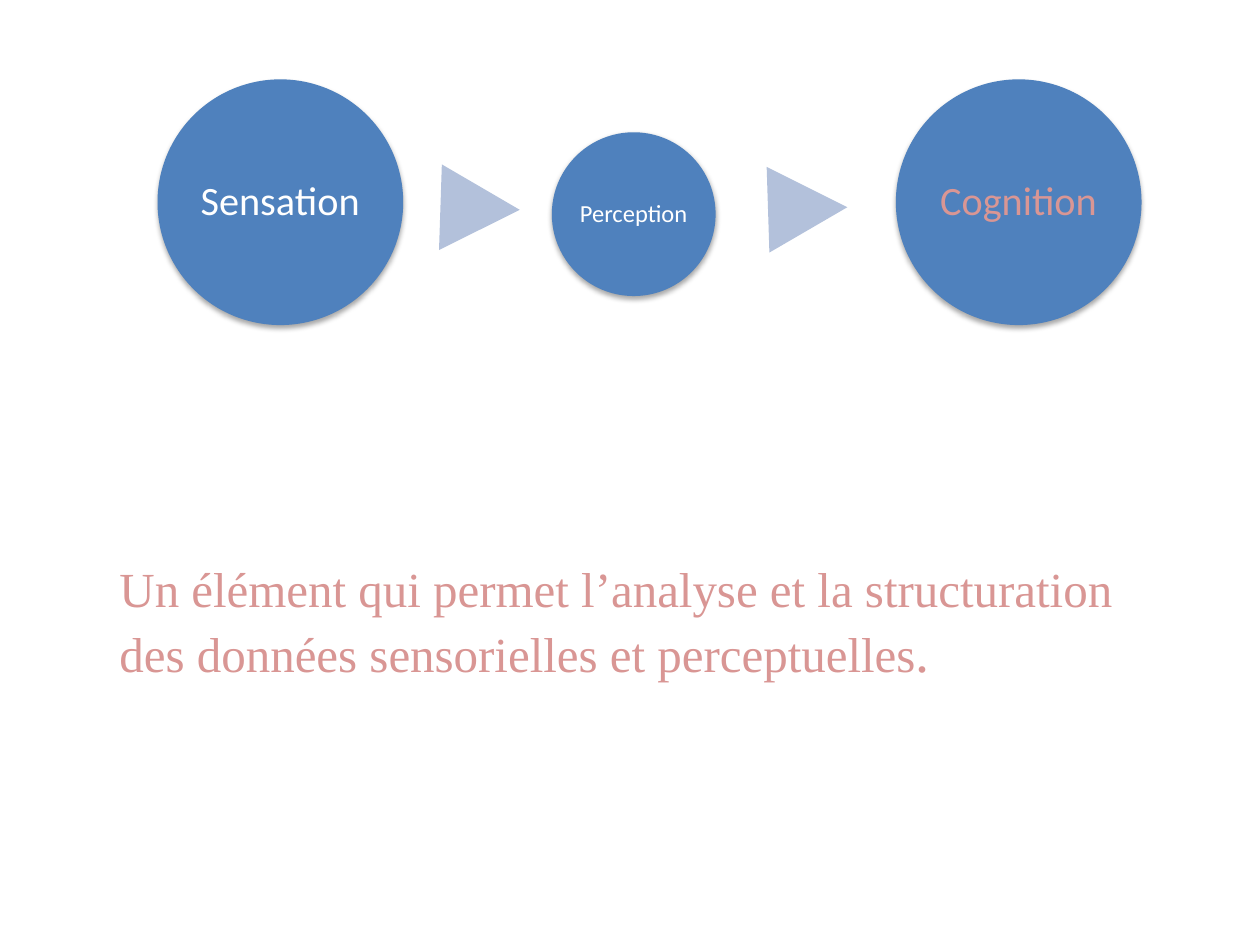
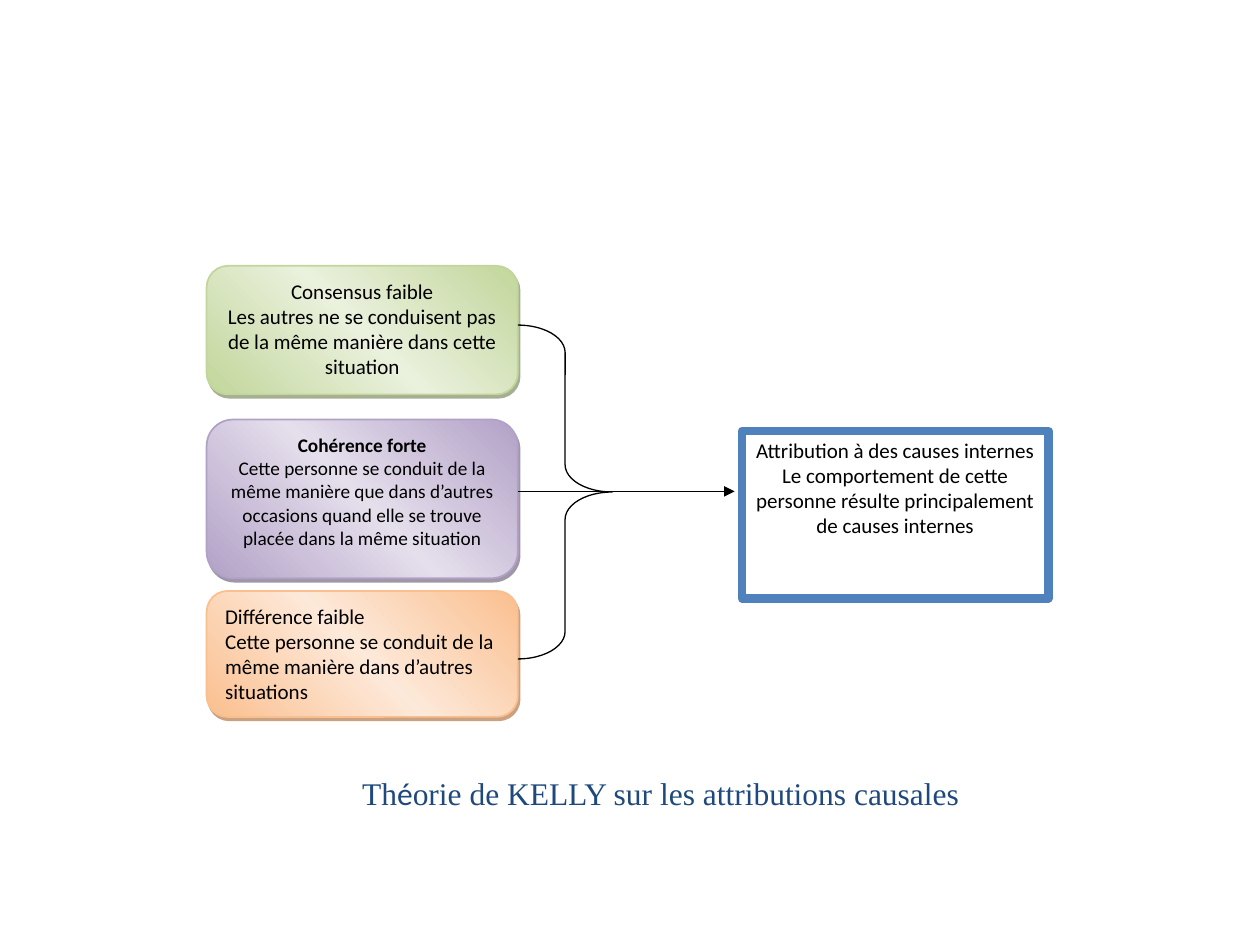
from dataclasses import dataclass

from lxml import etree
from pptx import Presentation
from pptx.dml.color import RGBColor
from pptx.enum.shapes import MSO_CONNECTOR, MSO_SHAPE
from pptx.enum.text import MSO_ANCHOR, PP_ALIGN
from pptx.oxml.ns import qn
from pptx.util import Inches, Pt

ELLIPSE = MSO_SHAPE.OVAL
TRIANGLE = MSO_SHAPE.ISOSCELES_TRIANGLE
ROUNDED = MSO_SHAPE.ROUNDED_RECTANGLE
RECTANGLE = MSO_SHAPE.RECTANGLE
BRACE = MSO_SHAPE.RIGHT_BRACE
STRAIGHT = MSO_CONNECTOR.STRAIGHT
LEFT, CENTER = PP_ALIGN.LEFT, PP_ALIGN.CENTER
TOP, MIDDLE = MSO_ANCHOR.TOP, MSO_ANCHOR.MIDDLE


@dataclass(frozen=True)
class Theme:
    sans: str = "Calibri"
    serif: str = "Times New Roman"
    blue: str = "4F81BD"
    pale_blue: str = "B3C1DB"
    navy: str = "1F497D"
    rose: str = "D99694"
    black: str = "000000"
    white: str = "FFFFFF"
    # edge colour, middle colour, shadow colour
    green: tuple = ("C2D69B", "EAF1DD", "4E6128")
    purple: tuple = ("B2A1C7", "E5DFEC", "3F3151")
    orange: tuple = ("FABF8F", "FDE9D9", "974706")
    statement_size: int = 28
    full_stop_size: int = 32
    large_stage_size: int = 23
    small_stage_size: int = 14
    caption_size: int = 18
    box_size: int = 12
    compact_size: int = 11
    thin_line: float = 0.75


THEME = Theme()


def rgb(code):
    return RGBColor.from_string(code)


def add_colour(parent, code, alpha=None):
    colour = etree.SubElement(parent, qn("a:srgbClr"), val=code)
    if alpha is not None:
        etree.SubElement(colour, qn("a:alpha"), val=str(alpha * 1000))


def add_shadow(shape, code, alpha, blur, distance, angle):
    """Expects the empty effect list that add_shape leaves behind."""
    effects = shape._element.spPr.find(qn("a:effectLst"))
    shadow = etree.SubElement(
        effects, qn("a:outerShdw"), blurRad=str(Pt(blur)),
        dist=str(Pt(distance)), dir=str(angle * 60000), rotWithShape="0")
    add_colour(shadow, code, alpha)


def fill_gradient(shape, edge, middle):
    """Diagonal gradient, from the bottom left to the top right."""
    shape.fill.gradient()
    gradient = shape._element.spPr.find(qn("a:gradFill"))
    for child in list(gradient):
        gradient.remove(child)
    stops = etree.SubElement(gradient, qn("a:gsLst"))
    for position, code in ((0, edge), (50, middle), (100, edge)):
        stop = etree.SubElement(stops, qn("a:gs"), pos=str(position * 1000))
        add_colour(stop, code)
    etree.SubElement(gradient, qn("a:lin"), ang=str(315 * 60000), scaled="0")


def add_shape(page, kind, left, top, width, height, fill=None, line=None, line_width=1):
    shape = page.shapes.add_shape(
        kind, Inches(left), Inches(top), Inches(width), Inches(height))
    shape.shadow.inherit = False
    if fill:
        shape.fill.solid()
        shape.fill.fore_color.rgb = rgb(fill)
    else:
        shape.fill.background()
    if line:
        shape.line.color.rgb = rgb(line)
        shape.line.width = Pt(line_width)
    else:
        shape.line.fill.background()
    return shape


def write(frame, paragraphs, size, color=THEME.black, font=THEME.sans, align=CENTER,
          anchor=TOP, wrap=True, inset=None, spacing=None, before=None,
          margin=0, indent=0, bold_first=False):
    """Each paragraph is a list of (text, overrides) spans."""
    frame.word_wrap = wrap
    frame.vertical_anchor = anchor
    if inset is not None:
        frame.margin_left = frame.margin_right = Inches(inset)
        frame.margin_top = frame.margin_bottom = Inches(inset)
    for index, spans in enumerate(paragraphs):
        para = frame.paragraphs[0] if index == 0 else frame.add_paragraph()
        para.alignment = align
        if spacing:
            para.line_spacing = spacing
        if before:
            para.space_before = Pt(before)
        if margin or indent:
            properties = para._p.get_or_add_pPr()
            properties.set("marL", str(Inches(margin)))
            properties.set("indent", str(Inches(indent)))
        for text, overrides in spans:
            span = para.add_run()
            span.text = text
            span.font.name = overrides.get("font", font)
            span.font.size = Pt(overrides.get("size", size))
            span.font.bold = bold_first and index == 0
            span.font.color.rgb = rgb(color)


def plain(*texts):
    return [[(text, {})] for text in texts]


def add_text(page, left, top, width, height, paragraphs, size, **text_format):
    box = page.shapes.add_textbox(
        Inches(left), Inches(top), Inches(width), Inches(height))
    write(box.text_frame, paragraphs, size, **text_format)


def add_stage(page, left, top, diameter, name, size, color=THEME.white):
    circle = add_shape(page, ELLIPSE, left, top, diameter, diameter, THEME.blue)
    add_shadow(circle, THEME.black, 35, 3.1, 1.8, 90)
    write(circle.text_frame, plain(name), size, color=color, anchor=MIDDLE,
          wrap=False, inset=0.02, spacing=0.9)


def add_stage_arrow(page, left, rotation):
    arrow = add_shape(page, TRIANGLE, left, 1.34, 0.68, 0.63, THEME.pale_blue)
    arrow.rotation = rotation


def add_factor(page, top, height, colours, texts, size=THEME.box_size, **text_format):
    edge, middle, shadow = colours
    box = add_shape(page, ROUNDED, 1.64, top, 2.47, height, line=edge)
    fill_gradient(box, edge, middle)
    add_shadow(box, shadow, 50, 0, 2.2, 63)
    write(box.text_frame, plain(*texts), size, **text_format)


def add_arrow(page, left, right, y):
    arrow = page.shapes.add_connector(
        STRAIGHT, Inches(left), Inches(y), Inches(right), Inches(y))
    arrow.line.color.rgb = rgb(THEME.black)
    arrow.line.width = Pt(THEME.thin_line)
    etree.SubElement(arrow.line._get_or_add_ln(), qn("a:tailEnd"), type="triangle")
    etree.SubElement(arrow._element.spPr, qn("a:effectLst"))


def build_cognition_page(page):
    statement = [[
        ("Un élément qui permet l’analyse et la structuration "
         "des données sensorielles et perceptuelles", {}),
        (".", {"size": THEME.full_stop_size}),
    ]]
    add_text(page, 0.47, 4.38, 9, 1.88, statement, THEME.statement_size,
             color=THEME.rose, font=THEME.serif, align=LEFT, before=3, margin=0.38)
    add_stage(page, 1.25, 0.63, 1.95, "Sensation", THEME.large_stage_size)
    add_stage_arrow(page, 3.47, 91.9)
    add_stage(page, 4.38, 1.05, 1.3, "Perception", THEME.small_stage_size)
    add_stage_arrow(page, 6.07, 88.2)
    add_stage(page, 7.11, 0.63, 1.95, "Cognition", THEME.large_stage_size, THEME.rose)


def build_attribution_page(page):
    add_factor(page, 2.11, 1.02, THEME.green, (
        "Consensus faible",
        "Les autres ne se conduisent pas de la même manière dans cette situation"))
    add_factor(page, 4.69, 1, THEME.orange, (
        "Différence faible",
        "Cette personne se conduit de la même manière dans d’autres situations"),
        align=LEFT)
    add_factor(page, 3.33, 1.26, THEME.purple, (
        "Cohérence forte",
        "Cette personne se conduit de la même manière que dans d’autres occasions "
        "quand elle se trouve placée dans la même situation"),
        size=THEME.compact_size, bold_first=True)

    brace = add_shape(page, BRACE, 4.11, 2.58, 0.75, 2.65,
                      line=THEME.black, line_width=THEME.thin_line)
    brace.adjustments[0] = 0.29
    add_arrow(page, 4.11, 5.83, 3.9)

    result = add_shape(page, RECTANGLE, 5.89, 3.42, 2.43, 1.33,
                       THEME.white, THEME.blue, 5)
    write(result.text_frame, plain(
        "Attribution à des causes internes",
        "Le comportement de cette personne résulte principalement de causes internes"),
        THEME.box_size)

    caption = [[
        ("Th", {}),
        ("é", {"font": THEME.sans}),
        ("orie de KELLY sur les attributions causales", {}),
    ]]
    add_text(page, 0, 6.09, 10, 0.4, caption, THEME.caption_size, color=THEME.navy,
             font=THEME.serif, anchor=MIDDLE, indent=0.49)


def main():
    deck = Presentation()
    deck.slide_width, deck.slide_height = Inches(10), Inches(7.5)
    blank = deck.slide_layouts[6]
    for build in (build_cognition_page, build_attribution_page):
        build(deck.slides.add_slide(blank))
    deck.save("out.pptx")


if __name__ == "__main__":
    main()
